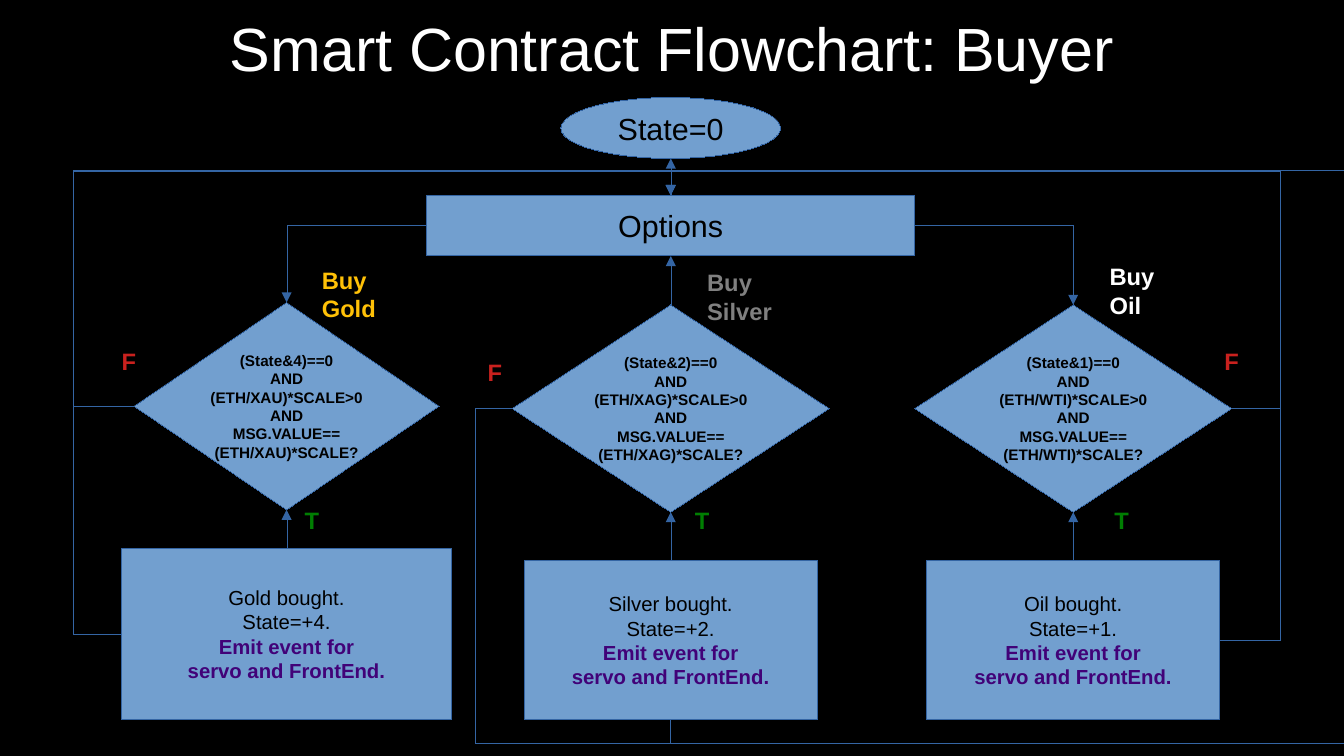
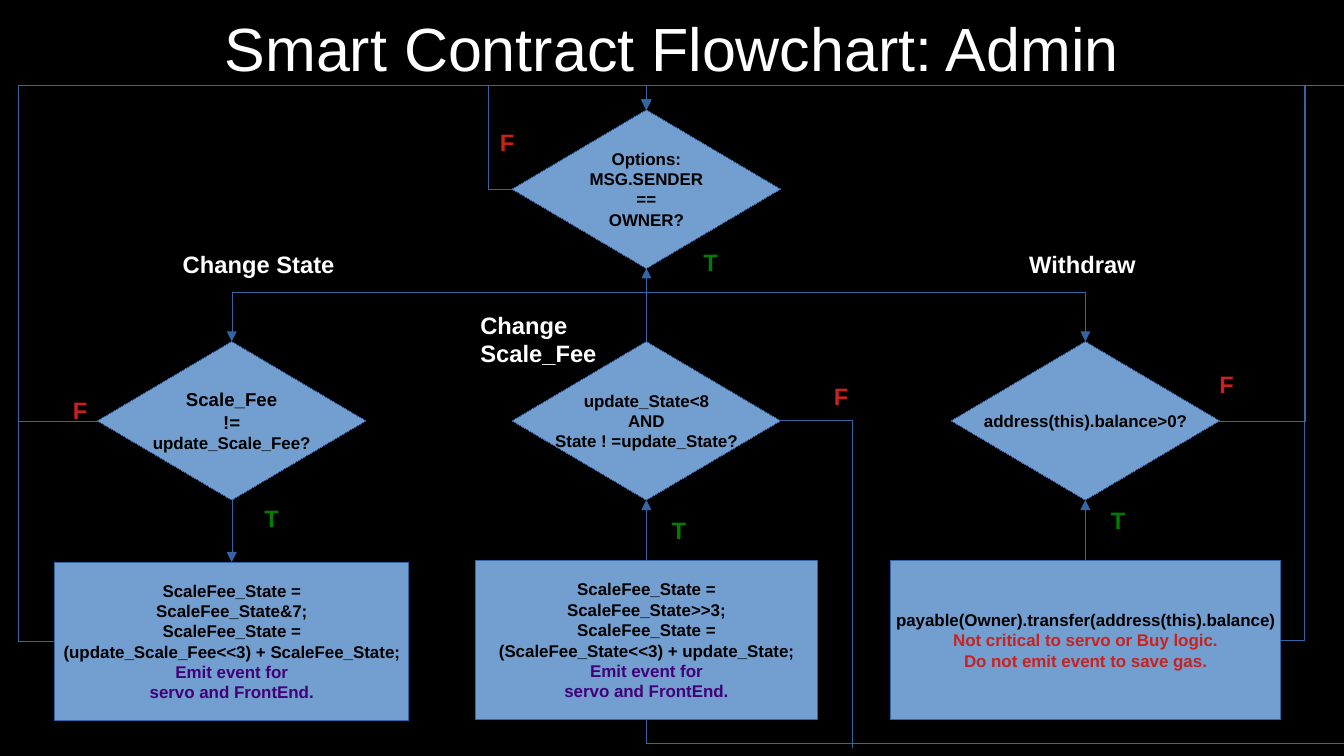
from dataclasses import dataclass

from lxml import etree
from pptx import Presentation
from pptx import util as u
from pptx.dml.color import RGBColor
from pptx.enum import shapes, text
from pptx.oxml.ns import qn

Pt = u.Pt
Kind = shapes.MSO_SHAPE
Align = text.PP_ALIGN
WIDE, HIGH = 793.44, 446.4
TOP, LEFT, BASE, RIGHT = range(4)


@dataclass(frozen=True)
class Theme:
    font: str = "Arial"
    back: str = "000000"
    fill: str = "729FCF"
    edge: str = "3465A4"
    ink: str = "000000"
    white: str = "FFFFFF"
    gold: str = "FFC107"
    gray: str = "808080"
    red: str = "C9211E"
    green: str = "007E02"
    plum: str = "410278"
    title: int = 36
    head: int = 18
    label: int = 14
    body: int = 12
    test: int = 11
    code: int = 10
    small: int = 9


def port(item, side):
    """Middle of one side of a shape, in points."""
    x, y = item.left.pt, item.top.pt
    w, h = item.width.pt, item.height.pt
    return [(x + w / 2, y), (x, y + h / 2),
            (x + w / 2, y + h), (x + w, y + h / 2)][side]


class Chart:
    """Holds the theme and the slide being drawn."""

    def __init__(self, theme):
        self.theme = theme
        self.deck = Presentation()
        self.deck.slide_width, self.deck.slide_height = Pt(WIDE), Pt(HIGH)
        self.slide = None

    def page(self, title):
        self.slide = self.deck.slides.add_slide(self.deck.slide_layouts[6])
        back = self.slide.background.fill
        back.solid()
        back.fore_color.rgb = RGBColor.from_string(self.theme.back)
        self.note(title, 0, 2.9, WIDE, self.theme.white, 47.5,
                  self.theme.title, False, Align.CENTER)

    def style(self, para, size, color, bold, align):
        para.alignment = align
        for run in para.runs:
            run.font.name = self.theme.font
            run.font.size = Pt(size)
            run.font.bold = bold
            run.font.color.rgb = RGBColor.from_string(color)

    def stroke(self, item):
        """Hairline edge; returns the line element."""
        item.line.color.rgb = RGBColor.from_string(self.theme.edge)
        line = item._element.spPr.find(qn("a:ln"))
        line.set("w", "0")
        return line

    def note(self, words, x, y, w, color, h=23, size=None, bold=True,
             align=Align.LEFT):
        frame = self.slide.shapes.add_textbox(
            Pt(x), Pt(y), Pt(w), Pt(h)).text_frame
        frame.word_wrap = True
        frame.text = words
        for para in frame.paragraphs:
            self.style(para, size or self.theme.label, color, bold, align)

    def flag(self, mark, x, y):
        color = self.theme.green if mark == "T" else self.theme.red
        self.note(mark, x, y, 33, color)

    def node(self, kind, x, y, w, h, lines, size, bold=False, tail=(),
             tint=None):
        """Shape centred on x, y; tail lines are bold in the tint colour."""
        item = self.slide.shapes.add_shape(
            kind, Pt(x - w / 2), Pt(y - h / 2), Pt(w), Pt(h))
        item.shadow.inherit = False
        item.fill.solid()
        item.fill.fore_color.rgb = RGBColor.from_string(self.theme.fill)
        self.stroke(item)
        frame = item.text_frame
        frame.word_wrap = False
        frame.vertical_anchor = text.MSO_ANCHOR.MIDDLE
        frame.text = "\n".join([*lines, *tail])
        for i, para in enumerate(frame.paragraphs):
            last = i >= len(lines)
            self.style(para, size, tint if last else self.theme.ink,
                       bold or last, Align.CENTER)
        return item

    def link(self, kind, start, end, arrow):
        item = self.slide.shapes.add_connector(
            kind, *[Pt(v) for v in (*start, *end)])
        line = self.stroke(item)
        if arrow:
            etree.SubElement(line, qn("a:tailEnd"), type="triangle")
        etree.SubElement(item._element.spPr, qn("a:effectLst"))
        return item

    def route(self, *stops, arrow=True):
        """Straight lines through the stops, arrowhead at the last one."""
        for start, end in zip(stops, stops[1:]):
            self.link(shapes.MSO_CONNECTOR.STRAIGHT, start, end,
                      arrow and end == stops[-1])

    def bend(self, a, out, b, into, *lanes):
        """Glued elbow arrow: no lane, one lane y, or lanes x and y."""
        (x, y), (p, q) = start, end = port(a, out), port(b, into)
        item = self.link(shapes.MSO_CONNECTOR.ELBOW, start, end, True)
        item.begin_connect(a, out)
        item.end_connect(b, into)
        w, h = abs(p - x), abs(q - y)
        if len(lanes) == 1:
            # Leaves downwards: a box turned a quarter
            w, h = h, w
            turn, flips = (270, "H") if p > x else (90, "")
            parts = [(lanes[0] - y) / (q - y)]
        else:
            flips = ("H" if p < x else "") + ("V" if q < y else "")
            turn = 180 if len(flips) == 1 else 0
            if turn:
                flips = "V" if flips == "H" else "H"
            parts = [(lane - s) / (e - s)
                     for lane, s, e in zip(lanes, start, end)]
        item.left, item.top = Pt((x + p - w) / 2), Pt((y + q - h) / 2)
        item.width, item.height = Pt(w), Pt(h)
        props = item._element.spPr
        frame = props.find(qn("a:xfrm"))
        frame.set("rot", str(turn * 60000))
        for axis in "HV":
            frame.set("flip" + axis, str(int(axis in flips)))
        shape = props.find(qn("a:prstGeom"))
        shape.set("prst", f"bentConnector{len(lanes) + 2}")
        guides = shape.find(qn("a:avLst"))
        for i, part in enumerate(parts, 1):
            etree.SubElement(guides, qn("a:gd"), name=f"adj{i}",
                             fmla=f"val {round(part * 100000)}")


EMIT = ("Emit event for", "servo and FrontEnd.")


def buyer(c):
    t = c.theme
    c.page("Smart Contract Flowchart: Buyer")
    mid, top, low, left, right = 396, 100.8, 439.2, 43.2, 756

    # Start and options
    c.node(Kind.OVAL, mid, 75.6, 129.6, 36, ["State=0"], t.head)
    menu = c.node(Kind.RECTANGLE, mid, 133.2, 288, 36, ["Options"], t.head)
    c.route((mid, 115.2), (mid, 93.6))

    # One column per good: centre, test y and width, box y and size
    goods = [
        ("Gold", 4, "XAU", 169.2, 239.8, 180, 374.4, 194.4, 100.8),
        ("Silver", 2, "XAG", mid, 241.2, 187.2, 378, 172.8, 93.6),
        ("Oil", 1, "WTI", 633.6, 241.2, 187.2, 378, 172.8, 93.6),
    ]
    tall = 122.4
    tests, acts = [], []
    for name, bit, code, x, y, w, box, wide, high in goods:
        rate = f"(ETH/{code})*SCALE"
        tests.append(c.node(
            Kind.DIAMOND, x, y, w, tall,
            [f"(State&{bit})==0", "AND", f"{rate}>0", "AND",
             "MSG.VALUE==", f"{rate}?"], t.small, True))
        acts.append(c.node(
            Kind.RECTANGLE, x, box, wide, high,
            [f"{name} bought.", f"State=+{bit}."], t.body,
            tail=EMIT, tint=t.plum))
        c.route((x, box - high / 2), (x, y + tall / 2))

    # Branches from the options
    c.bend(menu, LEFT, tests[0], TOP)
    c.route((mid, 180), (mid, 151.2))
    c.bend(menu, RIGHT, tests[2], TOP)

    # Loops back to the options
    for row in (acts, tests):
        c.bend(row[0], LEFT, menu, TOP, left, top)
        c.bend(row[2], RIGHT, menu, TOP, right, top)
    c.route((mid, 424.8), (mid, low), (WIDE, low), arrow=False)
    c.route((WIDE, top), (mid, top), arrow=False)
    c.route((302.4, 241.2), (280.8, 241.2), (280.8, low), (mid, low),
            arrow=False)

    # Labels
    c.note("Buy Gold", 182.9, 153.4, 70, t.gold, 39)
    c.note("Buy Silver", 410.4, 154.8, 57.6, t.gray, 39)
    c.note("Buy\nOil", 648, 151.2, 50.4, t.white, 39)
    for mark, x, y in [("T", 172.8, 295.2), ("T", 403.2, 295.2),
                       ("T", 650.9, 295.2), ("F", 64.8, 201.3),
                       ("F", 280.8, 207.7), ("F", 715.7, 201.3)]:
        c.flag(mark, x, y)


def admin(c):
    t = c.theme
    c.page("Smart Contract Flowchart: Admin")
    one, mid, two = 136.8, 381.6, 640.8
    top, low, left, right = 50.4, 439.2, 10.8, 770.4
    w, h, row, box = 158.4, 93.6, 248.4, 378

    # Tests
    menu = c.node(Kind.DIAMOND, mid, 111.6, w, h,
                  ["Options:", "MSG.SENDER", "==", "OWNER?"], t.code, True)
    fee = c.node(Kind.DIAMOND, one, row, w, h,
                 ["Scale_Fee", "!=", "update_Scale_Fee?"], t.test, True)
    fee.text_frame.paragraphs[-1].runs[0].font.size = Pt(t.code)
    c.node(Kind.DIAMOND, mid, row, w, h,
           ["update_State<8", "AND", "State ! =update_State?"], t.code, True)
    cash = c.node(Kind.DIAMOND, two, row, w, h,
                  ["address(this).balance>0?"], t.code, True)

    # Actions
    save = c.node(Kind.RECTANGLE, one, box + 0.7, 208.8, h,
                  ["ScaleFee_State =", "ScaleFee_State&7;",
                   "ScaleFee_State =",
                   "(update_Scale_Fee<<3) + ScaleFee_State;"],
                  t.code, True, EMIT, t.plum)
    c.node(Kind.RECTANGLE, mid, box, 201.6, h,
           ["ScaleFee_State =", "ScaleFee_State>>3;", "ScaleFee_State =",
            "(ScaleFee_State<<3) + update_State;"],
           t.code, True, EMIT, t.plum)
    pay = c.node(Kind.RECTANGLE, two, box, 230.4, h,
                 ["payable(Owner).transfer(address(this).balance)"],
                 t.code, True,
                 ["Not critical to servo or Buy logic.",
                  "Do not emit event to save gas."], t.red)

    # Links between the rows
    under, over = row + h / 2, box - h / 2
    c.route((one, under), (one, over + 0.7))
    for x in (mid, two):
        c.route((x, over), (x, under))
    c.route((mid, row - h / 2), (mid, 158.4))
    for test in (fee, cash):
        c.bend(menu, BASE, test, TOP, 172.8)

    # Loops back to the options
    c.bend(menu, LEFT, menu, TOP, 288, top)
    for item in (save, fee):
        c.bend(item, LEFT, menu, TOP, left, top)
    for item in (pay, cash):
        c.bend(item, RIGHT, menu, TOP, right, top)
    c.route((mid, 424.8), (mid, low), (WIDE, low), arrow=False)
    c.route((WIDE, top), (mid, top), arrow=False)
    c.route((mid + w / 2, row), (503.2, row), (503.2, 441.2), arrow=False)

    # Labels
    c.note("Change State", 100.8, 144, 112, t.white)
    c.note("Change Scale_Fee", 276.5, 180, 105, t.white, 39)
    c.note("Withdraw", 600.5, 144, 105, t.white)
    for mark, x, y in [("T", 149, 293.8), ("T", 389.5, 301),
                       ("T", 648.7, 295.2), ("T", 408.2, 142.6),
                       ("F", 485.3, 221.8), ("F", 36, 230.4),
                       ("F", 712.8, 214.6), ("F", 288, 72)]:
        c.flag(mark, x, y)


def main():
    c = Chart(Theme())
    buyer(c)
    admin(c)
    c.deck.save("out.pptx")


if __name__ == "__main__":
    main()
